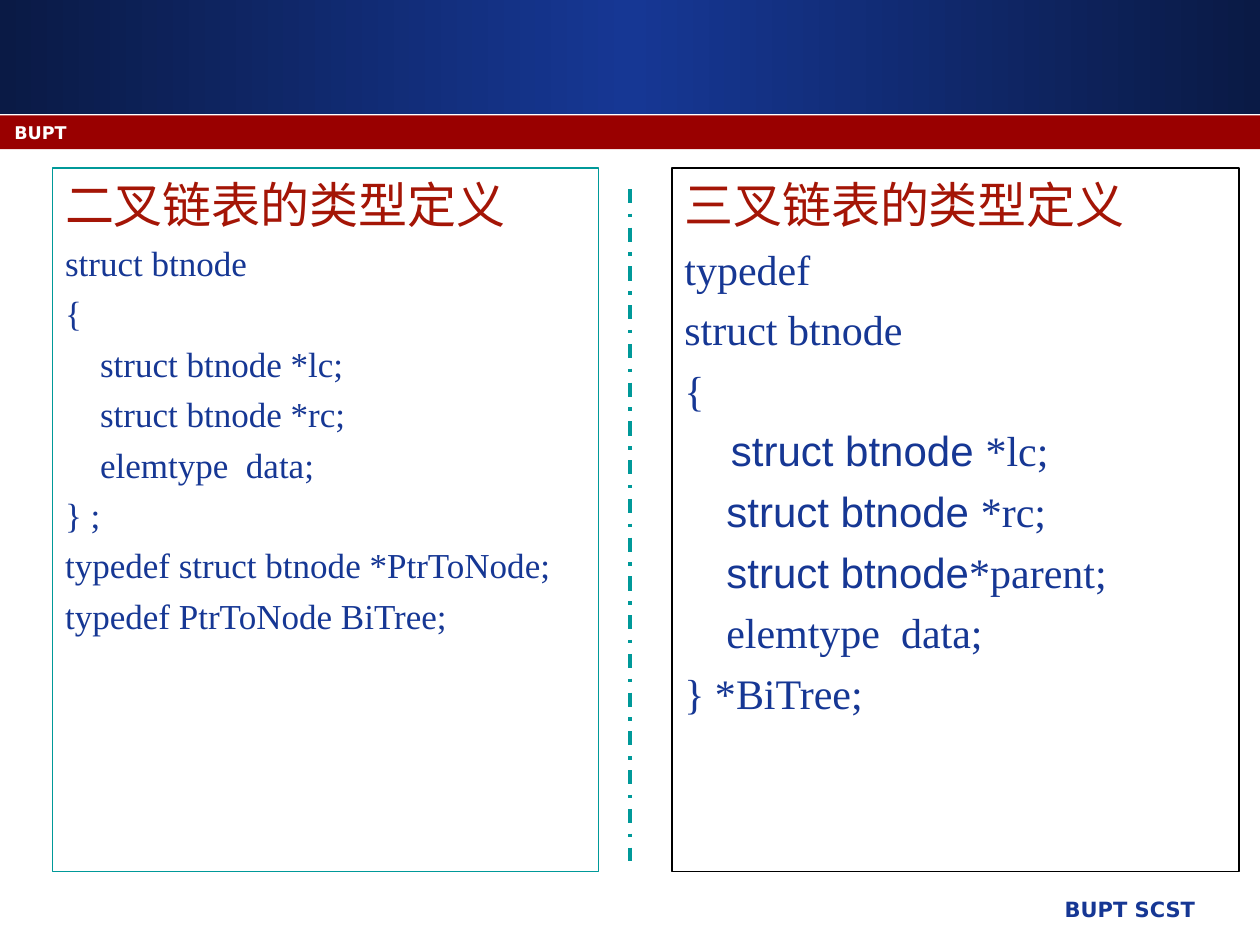
from copy import deepcopy
from dataclasses import dataclass
from typing import Optional

from pptx import Presentation
from pptx.dml.color import RGBColor
from pptx.enum.dml import MSO_LINE
from pptx.enum.shapes import MSO_CONNECTOR, MSO_SHAPE
from pptx.enum.text import MSO_ANCHOR, MSO_AUTO_SIZE, PP_ALIGN
from pptx.oxml.ns import qn
from pptx.util import Inches, Pt

NAVY = RGBColor(0x0A, 0x1A, 0x45)
BLUE = RGBColor(0x16, 0x37, 0x94)
CRIMSON = RGBColor(0x99, 0x00, 0x00)
RED = RGBColor(0xA4, 0x15, 0x06)
TEAL = RGBColor(0x00, 0x99, 0x99)
BLACK = RGBColor(0x00, 0x00, 0x00)
WHITE = RGBColor(0xFF, 0xFF, 0xFF)

SERIF, SANS, LABEL = "Times New Roman", "Arial", "DejaVu Sans"
COLS, ROWS = 120, 90
CELL = Inches(10) / COLS
HANG = Inches(0.38)
GAP = 0.24  # space before a line, as a share of its text size


@dataclass
class Area:
    """A place on the grid, in columns and rows."""
    col: float
    row: float
    wide: float
    high: float

    def box(self) -> list[int]:
        return [round(n * CELL) for n in (self.col, self.row, self.wide, self.high)]


@dataclass
class Panel:
    area: Area
    edge: RGBColor
    head: str
    size: int
    code: list[list[tuple[str, str]]]


@dataclass
class Label:
    area: Area
    text: str
    size: int
    color: RGBColor
    align: PP_ALIGN


def serif(*lines: str) -> list[list[tuple[str, str]]]:
    return [[(line, SERIF)] for line in lines]


def field(name: str, kind: str = "struct btnode ") -> list[tuple[str, str]]:
    return [("    ", SERIF), (kind, SANS), (name, SERIF)]


PANELS = [
    Panel(Area(5, 16, 52, 67), TEAL, "二叉链表的类型定义", 20, serif(
        "struct btnode", "{", "    struct btnode *lc;", "    struct btnode *rc;",
        "    elemtype  data;", "} ;", "typedef struct btnode *PtrToNode;",
        "typedef PtrToNode BiTree;")),
    Panel(Area(64, 16, 54, 67), BLACK, "三叉链表的类型定义", 24, [
        *serif("typedef", "struct btnode", "{"),
        [("    struct btnode ", SANS), ("*lc;", SERIF)],
        field("*rc;"),
        field("*parent;", "struct btnode"),
        *serif("    elemtype  data;", "} *BiTree;")]),
]
LABELS = [
    Label(Area(50.5, 84.8, 64.5, 4.2), "BUPT SCST", 12, BLUE, PP_ALIGN.RIGHT),
    Label(Area(0.2, 11, 111, 3), "BUPT", 10, WHITE, PP_ALIGN.LEFT),
]


def add_run(para, text: str, font: str, size: int, color: RGBColor,
            bold: Optional[bool] = None) -> None:
    run = para.add_run()
    run.text = text
    run.font.name = font
    run.font.size = Pt(size)
    run.font.color.rgb = color
    run.font.bold = bold


def add_band(slide, area: Area):
    band = slide.shapes.add_shape(MSO_SHAPE.RECTANGLE, *area.box())
    band.shadow.inherit = False
    band.line.fill.background()
    return band


def shade(band) -> None:
    """Blend from dark edges to a bright middle."""
    band.fill.gradient()
    band.fill.gradient_angle = 0
    stops = band._element.spPr.find(qn("a:gradFill")).find(qn("a:gsLst"))
    stops.insert(1, deepcopy(stops[0]))
    for stop, place, color in zip(band.fill.gradient_stops, (0, 0.5, 1), (NAVY, BLUE, NAVY)):
        stop.position = place
        stop.color.rgb = color


def fill_panel(shape, panel: Panel) -> None:
    shape.left, shape.top, shape.width, shape.height = panel.area.box()
    shape.line.color.rgb = panel.edge
    shape.line.width = Pt(0.75)
    frame = shape.text_frame
    frame.word_wrap = True
    frame.auto_size = MSO_AUTO_SIZE.NONE
    frame.vertical_anchor = MSO_ANCHOR.TOP
    lines = [[(panel.head, SERIF)], *panel.code]
    for i, line in enumerate(lines):
        para = frame.add_paragraph() if i else frame.paragraphs[0]
        props = para._p.get_or_add_pPr()
        props.set("marL", str(HANG))
        props.set("indent", str(-HANG))
        props.append(props.makeelement(qn("a:buNone"), {}))
        para.alignment = PP_ALIGN.LEFT
        para.space_before = Pt(round(GAP * panel.size, 1) if i else 0)
        size, color = (panel.size, BLUE) if i else (28, RED)
        for text, font in line:
            add_run(para, text, font, size, color)


def add_label(slide, label: Label) -> None:
    frame = slide.shapes.add_textbox(*label.area.box()).text_frame
    frame.word_wrap = True
    para = frame.paragraphs[0]
    para.alignment = label.align
    add_run(para, label.text, LABEL, label.size, label.color, True)


def add_split(slide, col: float, top: float, end: float) -> None:
    x, y, foot = (round(n * CELL) for n in (col, top, end))
    rule = slide.shapes.add_connector(MSO_CONNECTOR.STRAIGHT, x, y, x, foot)
    rule.line.color.rgb = TEAL
    rule.line.width = Pt(2)
    rule.line.dash_style = MSO_LINE.DASH_DOT
    props = rule._element.spPr
    props.append(props.makeelement(qn("a:effectLst"), {}))


def main() -> None:
    deck = Presentation()
    deck.slide_width, deck.slide_height = round(COLS * CELL), round(ROWS * CELL)
    slide = deck.slides.add_slide(deck.slide_layouts[1])
    title = slide.shapes.title._element
    title.getparent().remove(title)

    shade(add_band(slide, Area(0, 0, COLS, 10.9)))
    strip = add_band(slide, Area(0, 11, COLS, 3.2))
    strip.fill.solid()
    strip.fill.fore_color.rgb = CRIMSON
    for label in LABELS:
        add_label(slide, label)

    left, right = PANELS
    fill_panel(slide.placeholders[1], left)
    fill_panel(slide.shapes.add_textbox(*right.area.box()), right)
    add_split(slide, COLS / 2, 18, 82)
    deck.save("out.pptx")


if __name__ == "__main__":
    main()
